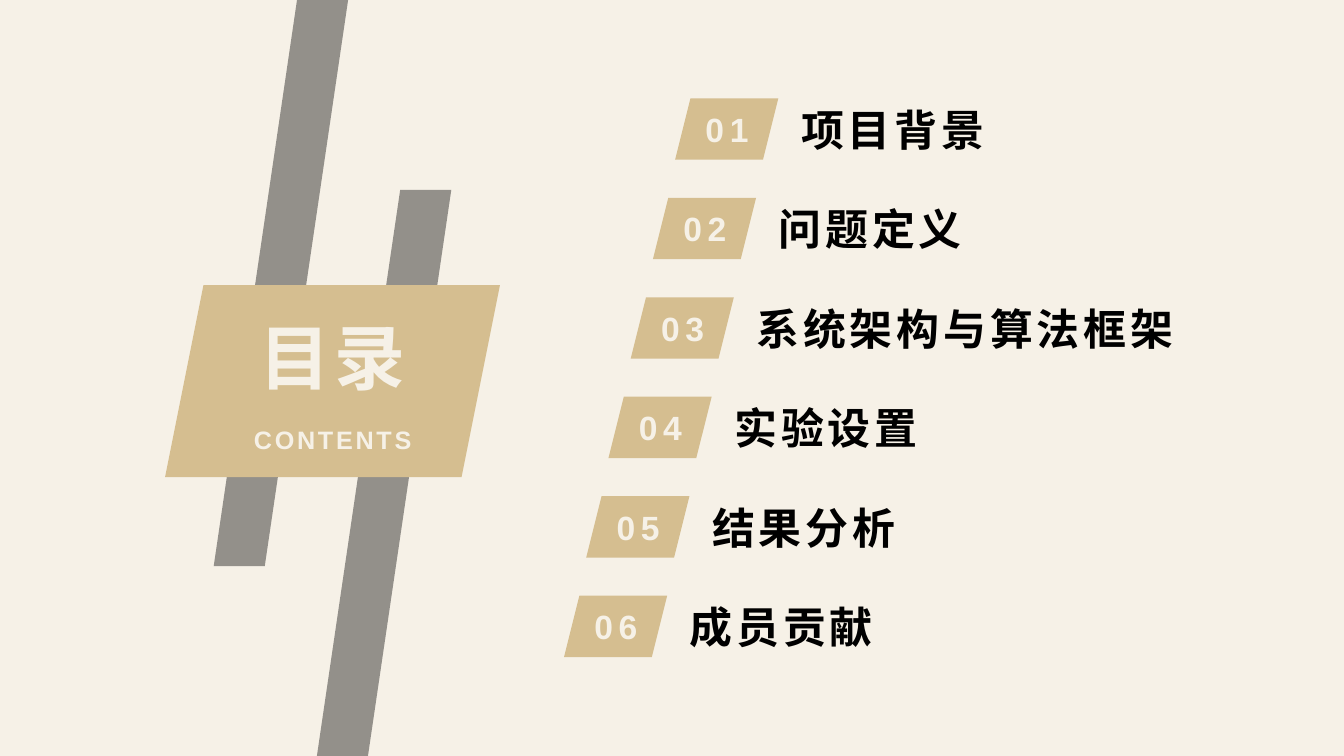
from lxml import etree
from pptx import Presentation
from pptx.dml.color import RGBColor
from pptx.enum import shapes, text
from pptx.oxml.ns import qn
from pptx.util import Cm, Pt

CREAM, SAND, BLACK = "F6F1E7", "D5BE90", "000000"
CENTER, LEFT = text.PP_ALIGN.CENTER, text.PP_ALIGN.LEFT
TOPICS = ["项目背景", "问题定义", "系统架构与算法框架", "实验设置", "结果分析", "成员贡献"]


def rgb(value):
    return RGBColor.from_string(value)


def set_attrs(obj, values):
    for name, value in values.items():
        setattr(obj, name, value)


def add_slanted(s, box, color, slant=0.25, opacity=None):
    """Add a parallelogram; slant is relative to its shorter side."""
    sp = s.shapes.add_shape(shapes.MSO_SHAPE.PARALLELOGRAM, *map(Cm, box))
    sp.adjustments[0] = slant
    sp.shadow.inherit = False
    sp.line.fill.background()
    sp.fill.solid()
    sp.fill.fore_color.rgb = rgb(color)
    if opacity is not None:
        clr = sp.fill._xPr.find(".//" + qn("a:srgbClr"))
        etree.SubElement(clr, qn("a:alpha"), val=str(opacity * 1000))


def write_text(sp, content, size, color, spacing, align=CENTER, inset=True, **para):
    """Fill a box with one bold line; spacing is the letter gap in points."""
    tf = sp.text_frame
    set_attrs(tf, {"word_wrap": True, "auto_size": text.MSO_AUTO_SIZE.NONE,
                   "vertical_anchor": text.MSO_ANCHOR.MIDDLE})
    if not inset:
        set_attrs(tf, dict.fromkeys(
            ["margin_left", "margin_right", "margin_top", "margin_bottom"], 0))
    p = tf.paragraphs[0]
    set_attrs(p, {"alignment": align, **para})
    r = p.add_run()
    r.text = content
    set_attrs(r.font, {"name": "Arial", "size": Pt(size), "bold": True})
    r.font.color.rgb = rgb(color)
    r.font._element.set("spc", str(round(spacing * 100)))


def add_text(s, box, *args, **kwargs):
    write_text(s.shapes.add_textbox(*map(Cm, box)), *args, **kwargs)


def add_heading(s):
    for x, y in [(4.04, 0), (5.99, 3.59)]:
        add_slanted(s, (x, y, 2.54, 10.7), BLACK, 0.62, opacity=40)
    add_slanted(s, (3.12, 5.39, 6.33, 3.63), SAND, 0.2)
    title = s.shapes.title
    title.element.getparent().append(title.element)  # bring in front of the plate
    set_attrs(title, {"left": Cm(4.22), "top": Cm(5.74),
                      "width": Cm(4.14), "height": Cm(1.98)})
    write_text(title, "目录", 38, CREAM, 2.2)
    add_text(s, (4.22, 7.75, 4.14, 0.94), "CONTENTS", 13.5, CREAM, 1.5,
             line_spacing=1.3)


def add_topic(s, index, topic):
    x, y = 12.76 - 0.42 * index, 1.86 + 1.88 * index
    add_slanted(s, (x, y, 1.95, 1.16), SAND)
    add_text(s, (x + 2.13, y - 0.18, 8.61, 1.52), topic, 23, BLACK, 2, LEFT,
             space_after=Pt(8))
    add_text(s, (x + 0.42, y, 1.12, 1.16), f"{index + 1:02}", 18, CREAM, 3,
             inset=False)


def main():
    prs = Presentation()
    set_attrs(prs, {"slide_width": Cm(25.4), "slide_height": Cm(14.29)})
    s = prs.slides.add_slide(prs.slide_layouts[5])
    s.background.fill.solid()
    s.background.fill.fore_color.rgb = rgb(CREAM)
    add_heading(s)
    for index, topic in enumerate(TOPICS):
        add_topic(s, index, topic)
    prs.save("out.pptx")


if __name__ == "__main__":
    main()
